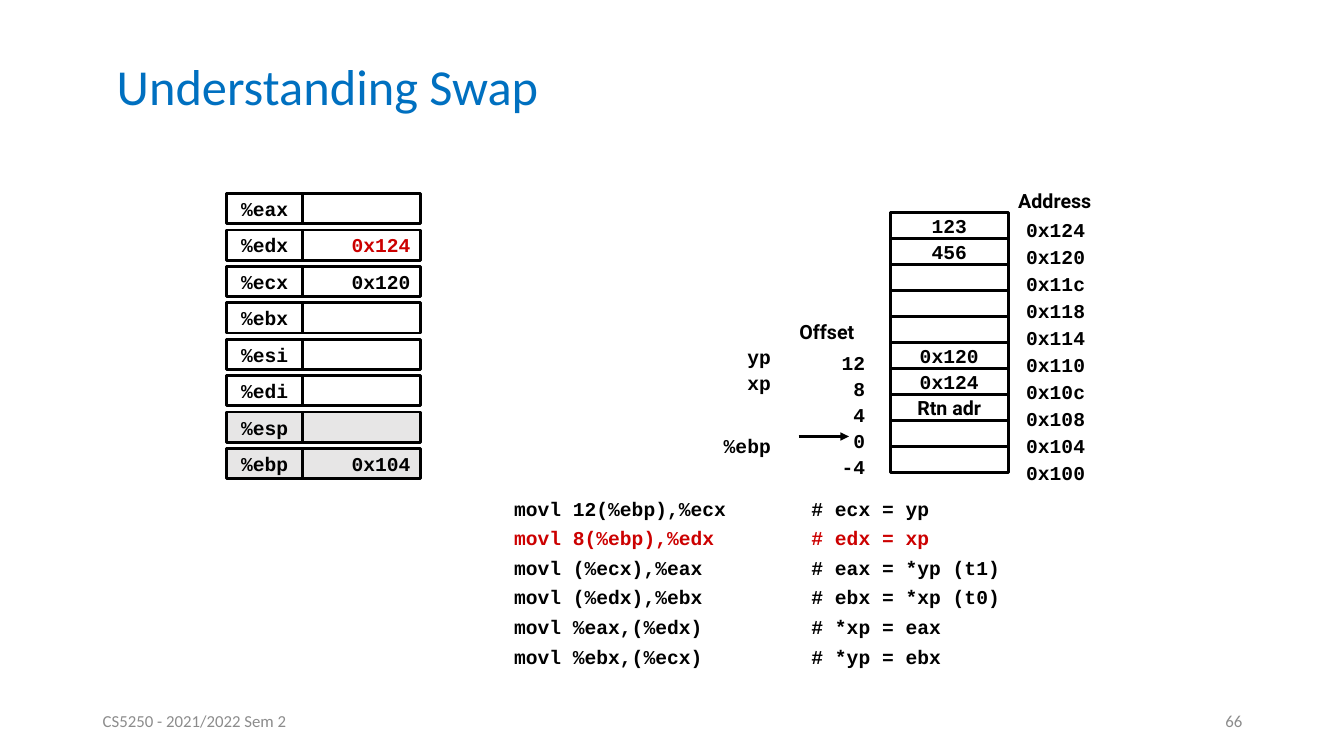
"""Build the slide that traces registers and stack memory during swap."""
from dataclasses import dataclass

from lxml import etree
from pptx import Presentation
from pptx.dml.color import RGBColor
from pptx.enum.shapes import MSO_CONNECTOR, MSO_SHAPE
from pptx.enum.text import MSO_ANCHOR, PP_ALIGN
from pptx.oxml.ns import qn
from pptx.util import Inches, Pt

RECTANGLE = MSO_SHAPE.RECTANGLE
STRAIGHT = MSO_CONNECTOR.STRAIGHT
TOP, MIDDLE = MSO_ANCHOR.TOP, MSO_ANCHOR.MIDDLE
LEFT, CENTER, RIGHT = PP_ALIGN.LEFT, PP_ALIGN.CENTER, PP_ALIGN.RIGHT

TITLE = "Understanding Swap"
COURSE = "CS5250 - 2021/2022 Sem 2"
PAGE = "66"
REGISTERS = [
    ("%eax", ""), ("%edx", "0x124"), ("%ecx", "0x120"), ("%ebx", ""),
    ("%esi", ""), ("%edi", ""), ("%esp", ""), ("%ebp", "0x104"),
]
ACTIVE_REGISTER = "%edx"
POINTER_REGISTERS = ("%esp", "%ebp")
RETURN_ADDRESS = "Rtn adr"
MEMORY = [
    ("123", "0x124"), ("456", "0x120"), ("", "0x11c"), ("", "0x118"),
    ("", "0x114"), ("0x120", "0x110"), ("0x124", "0x10c"),
    (RETURN_ADDRESS, "0x108"), ("", "0x104"), ("", "0x100"),
]
OFFSETS = ["12", "8", "4", "0", "-4"]
ARGUMENTS = ["yp", "xp"]
FIRST_OFFSET_ROW = 5
CODE = [
    ("movl 12(%ebp),%ecx", "# ecx = yp"),
    ("movl 8(%ebp),%edx", "# edx = xp"),
    ("movl (%ecx),%eax", "# eax = *yp (t1)"),
    ("movl (%edx),%ebx", "# ebx = *xp (t0)"),
    ("movl %eax,(%edx)", "# *xp = eax"),
    ("movl %ebx,(%ecx)", "# *yp = ebx"),
]
ACTIVE_LINE = 1


@dataclass(frozen=True)
class Theme:
    """Colours, fonts and sizes of the slide."""
    ink: str = "000000"
    accent: str = "CC0000"
    title: str = "0070C0"
    muted: str = "8C8C8C"
    paper: str = "FFFFFF"
    shade: str = "E7E6E6"
    sans: str = "Calibri"
    mono: str = "Courier New"
    label: str = "Roboto"
    title_size: int = 36
    body_size: int = 14
    footer_size: int = 12
    line_width: int = 2


THEME = Theme()
WIDTH, HEIGHT = 13.33, 7.5
REGISTER_LEFT, REGISTER_TOP, REGISTER_PITCH = 2.25, 1.92, 2.53 / 7
REGISTER_HEIGHT, NAME_WIDTH, CELL_WIDTH = 0.3, 0.75, 1.17
MEMORY_LEFT, MEMORY_TOP = 8.83, 2.11
MEMORY_PITCH, ADDRESS_PITCH = 2.32 / 9, 2.41 / 9
TEXT_HEIGHT = 0.34
CODE_TABS = (0.5, 3.45)


def apply(target, values):
    """Set each named attribute of the target."""
    for name, value in values.items():
        setattr(target, name, value)


def style(font, color=THEME.ink, name=THEME.mono, size=THEME.body_size, bold=True):
    """Format a font."""
    apply(font, {"name": name, "size": Pt(size), "bold": bold})
    font.color.rgb = RGBColor.from_string(color)


def write(shape, text, align=LEFT, anchor=TOP, wrap=True, spacing=1.0, **font):
    """Put one paragraph of text in a shape."""
    frame = shape.text_frame
    apply(frame, {"word_wrap": wrap, "vertical_anchor": anchor})
    paragraph = frame.paragraphs[0]
    apply(paragraph, {"text": text, "alignment": align, "line_spacing": spacing})
    style(paragraph.font, **font)


def add_text(slide, box, text, **options):
    """Add a text box with one paragraph."""
    shape = slide.shapes.add_textbox(*map(Inches, box))
    write(shape, text, **options)
    return shape


def add_cell(slide, box, text, fill=THEME.paper, **options):
    """Add an outlined rectangle, with text if there is any."""
    shape = slide.shapes.add_shape(RECTANGLE, *map(Inches, box))
    shape.shadow.inherit = False
    shape.fill.solid()
    shape.fill.fore_color.rgb = RGBColor.from_string(fill)
    shape.line.color.rgb = RGBColor.from_string(THEME.ink)
    shape.line.width = Pt(THEME.line_width)
    if text:
        write(shape, text, anchor=MIDDLE, wrap=False, **options)


def add_frame(slide):
    """Add the title and the footer."""
    add_text(slide, (1.06, 0.42, 8.37, 0.92), TITLE, anchor=MIDDLE, spacing=0.9,
             color=THEME.title, name=THEME.sans, size=THEME.title_size, bold=False)
    for left, text, align in ((0.92, COURSE, LEFT), (9.42, PAGE, RIGHT)):
        add_text(slide, (left, 6.95, 3, 0.4), text, align=align, anchor=MIDDLE,
                 color=THEME.muted, name=THEME.sans, size=THEME.footer_size, bold=False)


def add_registers(slide):
    """Add the column of registers and their values."""
    for row, (name, value) in enumerate(REGISTERS):
        top = REGISTER_TOP + row * REGISTER_PITCH
        fill = THEME.shade if name in POINTER_REGISTERS else THEME.paper
        color = THEME.accent if name == ACTIVE_REGISTER else THEME.ink
        add_cell(slide, (REGISTER_LEFT, top, NAME_WIDTH, REGISTER_HEIGHT), name,
                 fill, align=CENTER)
        add_cell(slide, (REGISTER_LEFT + NAME_WIDTH, top, CELL_WIDTH, REGISTER_HEIGHT),
                 value, fill, align=RIGHT, color=color)


def add_memory(slide):
    """Add the stack cells with addresses, offsets and argument names."""
    for row, (value, address) in enumerate(MEMORY):
        font = THEME.label if value == RETURN_ADDRESS else THEME.mono
        add_cell(slide, (MEMORY_LEFT, MEMORY_TOP + row * MEMORY_PITCH, CELL_WIDTH,
                         MEMORY_PITCH), value, align=CENTER, name=font)
        add_text(slide, (10.08, MEMORY_TOP + row * ADDRESS_PITCH, 1.33, TEXT_HEIGHT),
                 address)
    offset_top = MEMORY_TOP + FIRST_OFFSET_ROW * MEMORY_PITCH
    for row, offset in enumerate(OFFSETS):
        add_text(slide, (8.13, offset_top + 0.03 + row * MEMORY_PITCH, 0.55,
                         TEXT_HEIGHT), offset, align=RIGHT)
    for row, argument in enumerate(ARGUMENTS):
        add_text(slide, (7.17, offset_top + row * MEMORY_PITCH, 0.72, 0.31),
                 argument, align=CENTER, spacing=0.9)
    add_text(slide, (7.83, 3.12, 0.77, TEXT_HEIGHT), "Offset", wrap=False,
             name=THEME.label)
    add_text(slide, (10, 1.83, 0.99, TEXT_HEIGHT), "Address", wrap=False,
             name=THEME.label)
    add_text(slide, (7.08, 4.26, 0.67, TEXT_HEIGHT), "%ebp", wrap=False)


def add_arrow(slide):
    """Add the arrow from the base pointer to offset zero."""
    arrow = slide.shapes.add_connector(STRAIGHT, *map(Inches, (7.92, 4.33, 8.42, 4.33)))
    arrow.line.color.rgb = RGBColor.from_string(THEME.ink)
    arrow.line.width = Pt(THEME.line_width)
    etree.SubElement(arrow.line._get_or_add_ln(), qn("a:tailEnd"), type="triangle")
    etree.SubElement(arrow._element.spPr, qn("a:effectLst"))


def add_code(slide):
    """Add the assembly listing, aligned on two tab stops."""
    frame = slide.shapes.add_textbox(*map(Inches, (4.5, 4.83, 6.5, 1.79))).text_frame
    frame.word_wrap = True
    for row, (instruction, remark) in enumerate(CODE):
        paragraph = frame.add_paragraph() if row else frame.paragraphs[0]
        apply(paragraph, {"line_spacing": 1.2, "space_before": Pt(1 if row else 0)})
        tabs = etree.SubElement(paragraph._p.get_or_add_pPr(), qn("a:tabLst"))
        for stop in CODE_TABS:
            etree.SubElement(tabs, qn("a:tab"), pos=str(Inches(stop)), algn="l")
        run = paragraph.add_run()
        run.text = f"\t{instruction}\t{remark}"
        style(run.font, color=THEME.accent if row == ACTIVE_LINE else THEME.ink)


def main():
    """Build and save the presentation."""
    presentation = Presentation()
    apply(presentation, {"slide_width": Inches(WIDTH), "slide_height": Inches(HEIGHT)})
    slide = presentation.slides.add_slide(presentation.slide_layouts[6])
    add_frame(slide)
    add_code(slide)
    add_memory(slide)
    add_arrow(slide)
    add_registers(slide)
    presentation.save("out.pptx")


if __name__ == "__main__":
    main()
